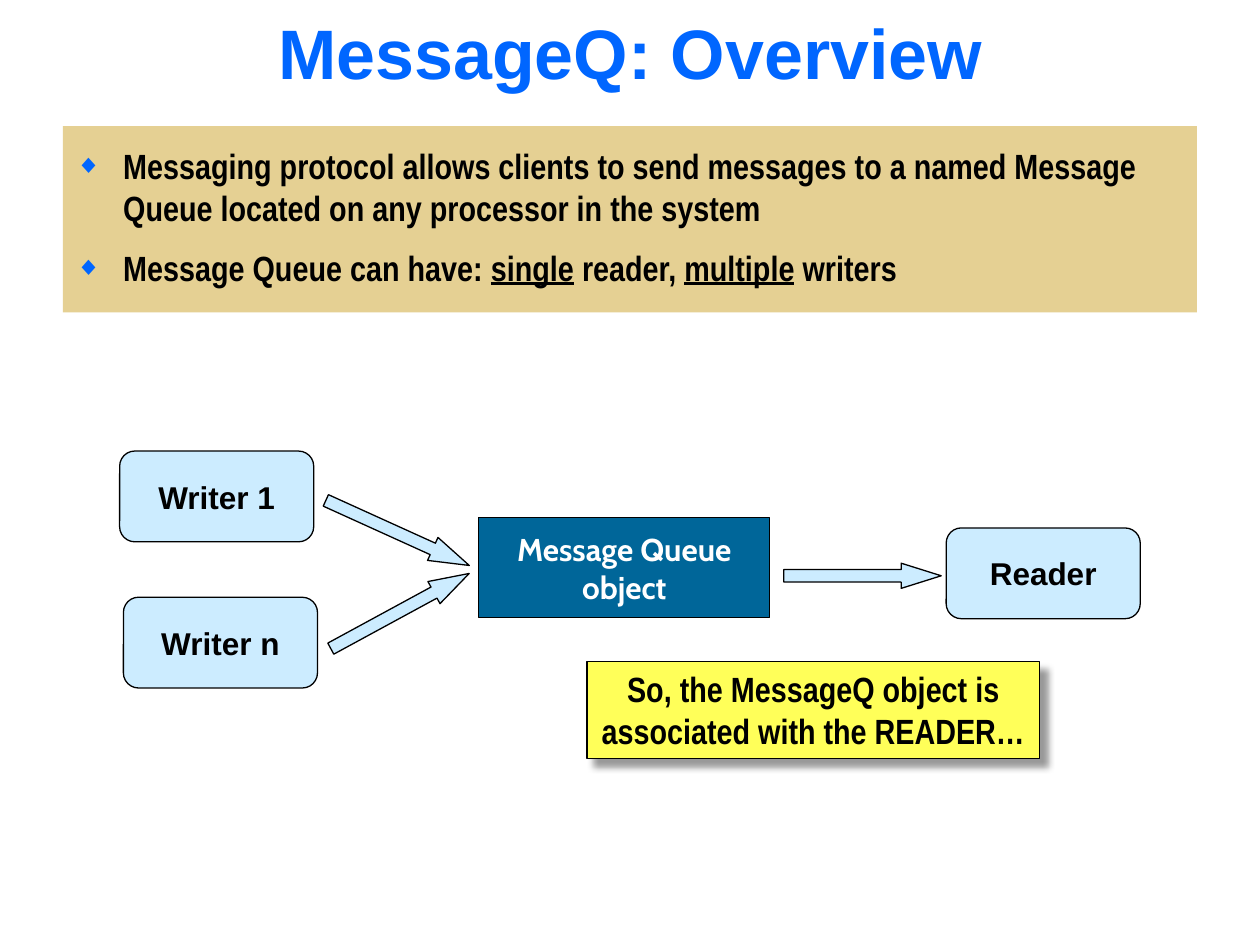
"""Build the MessageQ overview slide."""
from lxml import etree
from pptx import Presentation
from pptx.dml.color import RGBColor
from pptx.enum.shapes import MSO_SHAPE
from pptx.enum.text import MSO_ANCHOR, PP_ALIGN
from pptx.oxml.ns import qn
from pptx.util import Inches, Pt

RECT = MSO_SHAPE.RECTANGLE
ROUND = MSO_SHAPE.ROUNDED_RECTANGLE
ARROW = MSO_SHAPE.RIGHT_ARROW
CENTER, LEFT = PP_ALIGN.CENTER, PP_ALIGN.LEFT
TOP, MIDDLE = MSO_ANCHOR.TOP, MSO_ANCHOR.MIDDLE

HUES = {"title": "0066FF", "tan": "E5D093", "queue": "006699", "pale": "CCECFF",
        "note": "FFFF59", "black": "000000", "white": "FFFFFF"}

POINTS = [
    [("Messaging protocol allows clients to send messages to a named Message "
      "Queue located on any processor in the system", False)],
    [("Message Queue can have: ", False), ("single", True), (" reader, ", False),
     ("multiple", True), (" writers", False)],
]
NODES = [("Reader", 7.51, 4.19), ("Writer 1", 0.95, 3.58), ("Writer n", 0.98, 4.74)]
ARROWS = [(2.53, 4.13, 24.4), (2.55, 4.75, 331.5), (6.22, 4.47, 0)]


def hue(name):
    """Return the named colour."""
    return RGBColor.from_string(HUES[name])


def add_run(para, text, size, font, color, under=False):
    """Append one bold run to a paragraph."""
    run = para.add_run()
    run.text = text
    face = run.font
    face.size, face.name, face.bold = Pt(size), font, True
    face.color.rgb = hue(color)
    if under:
        face.underline = True


def add_box(slide, kind, place, fill, line=True):
    """Add a filled shape without a shadow."""
    box = slide.shapes.add_shape(kind, *map(Inches, place))
    box.shadow.inherit = False
    box.fill.solid()
    box.fill.fore_color.rgb = hue(fill)
    if line:
        box.line.color.rgb = hue("black")
        box.line.width = Pt(0.75)
    else:
        box.line.fill.background()
    return box


def add_label(box, lines, size, font, color, wrap=False):
    """Write centred lines in the middle of a shape."""
    frame = box.text_frame
    frame.word_wrap = wrap
    frame.vertical_anchor = MIDDLE
    para = frame.paragraphs[0]
    para.alignment = CENTER
    for i, text in enumerate(lines):
        if i:
            para.add_line_break()
        add_run(para, text, size, font, color)


def add_bullet(para):
    """Give a paragraph a hanging diamond bullet."""
    props = para._p.get_or_add_pPr()
    props.set("marL", str(Inches(0.38)))
    props.set("indent", str(-Inches(0.38)))
    color = etree.SubElement(props, qn("a:buClr"))
    etree.SubElement(color, qn("a:srgbClr"), val=HUES["title"])
    etree.SubElement(props, qn("a:buSzPct"), val="75000")
    etree.SubElement(props, qn("a:buFont"), typeface="Arial")
    etree.SubElement(props, qn("a:buChar"), char="◆")


def add_points(slide):
    """Add the tan panel with its bullet points."""
    box = add_box(slide, RECT, (0.5, 1, 9, 1.48), "tan", line=False)
    frame = box.text_frame
    frame.word_wrap = True
    frame.vertical_anchor = TOP
    frame.margin_top = frame.margin_bottom = Inches(0.15)
    for i, runs in enumerate(POINTS):
        para = frame.add_paragraph() if i else frame.paragraphs[0]
        para.alignment = LEFT
        para.space_before = Pt(10 if i else 0)
        add_bullet(para)
        for text, under in runs:
            add_run(para, text, 20, "Arial Narrow", "black", under)


def add_arrow(slide, left, top, turn):
    """Add a block arrow turned by some degrees."""
    arrow = add_box(slide, ARROW, (left, top, 1.25, 0.2), "pale")
    arrow.adjustments[1] = 1.59
    arrow.rotation = turn


def add_shadow(box):
    """Cast a soft shadow to the lower right."""
    effects = box._element.spPr.find(qn("a:effectLst"))
    shadow = etree.SubElement(effects, qn("a:outerShdw"), blurRad=str(Pt(4)),
                              dist=str(Pt(6)), dir=str(45 * 60000),
                              algn="tl", rotWithShape="0")
    color = etree.SubElement(shadow, qn("a:srgbClr"), val=HUES["black"])
    etree.SubElement(color, qn("a:alpha"), val="40000")


def main():
    """Build and save the slide."""
    deck = Presentation()
    deck.slide_width, deck.slide_height = Inches(10), Inches(7.5)
    slide = deck.slides.add_slide(deck.slide_layouts[6])

    title = slide.shapes.add_textbox(0, 0, Inches(10), Inches(0.81))
    add_label(title, ["MessageQ: Overview"], 40, "Arial", "title", wrap=True)
    add_points(slide)

    queue = add_box(slide, RECT, (3.8, 4.11, 2.31, 0.79), "queue")
    add_label(queue, ["Message Queue object"], 18, "Cabin", "white", wrap=True)
    for name, left, top in NODES:
        node = add_box(slide, ROUND, (left, top, 1.54, 0.72), "pale")
        add_label(node, [name], 18, "Arial", "black")
    for left, top, turn in ARROWS:
        add_arrow(slide, left, top, turn)

    note = add_box(slide, RECT, (4.66, 5.25, 3.59, 0.77), "note")
    add_shadow(note)
    add_label(note, ["So, the MessageQ object is", "associated with the READER…"],
              20, "Arial Narrow", "black")
    deck.save("out.pptx")


if __name__ == "__main__":
    main()
